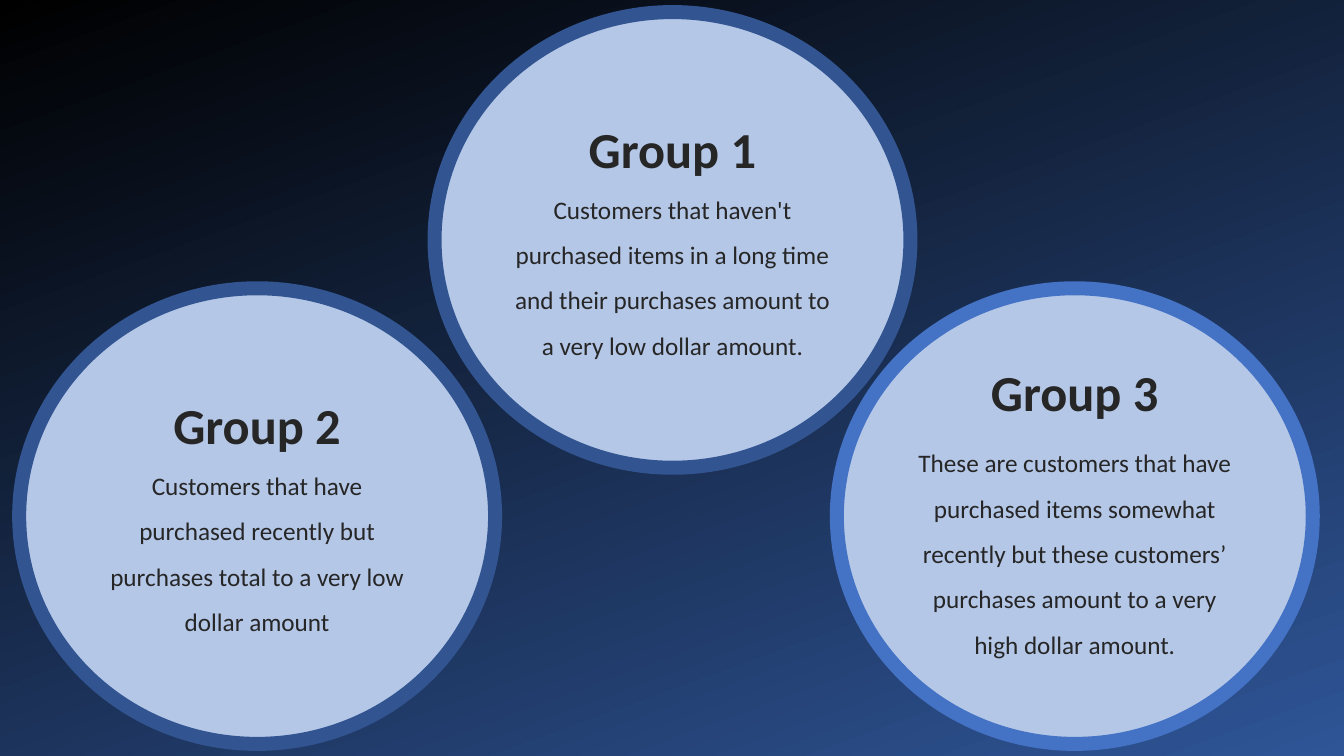
from pptx import Presentation
from pptx.dml.color import RGBColor
from pptx.enum.shapes import MSO_SHAPE
from pptx.enum.text import MSO_ANCHOR, PP_ALIGN
from pptx.util import Inches, Pt

RECTANGLE = MSO_SHAPE.RECTANGLE
OVAL = MSO_SHAPE.OVAL
MIDDLE = MSO_ANCHOR.MIDDLE
CENTER = PP_ALIGN.CENTER

BLANK_LAYOUT = 6
FONT = "Calibri"
INK = "262626"
PALE_BLUE = "B4C7E7"
DARK_RING = "325491"
BRIGHT_RING = "4472C4"
CIRCLE_SIZE = (4.72, 4.52)
LOWER_TOP = 2.86

GROUPS = [
    ("Group 1", "Customers that haven't purchased items in a long time and their "
     "purchases amount to a very low dollar amount.",
     4.31, 0.12, DARK_RING, 0, 0.36),
    ("Group 2", "Customers that have purchased recently but purchases total to a "
     "very low dollar amount",
     0.19, LOWER_TOP, DARK_RING, 0, 0.36),
    ("Group 3", "These are customers that have purchased items somewhat recently but "
     "these customers\u2019 purchases amount to a very high dollar amount.",
     8.3, LOWER_TOP, BRIGHT_RING, 8, 0.47),
]


def color(hex_value):
    """Turn a hex string into a colour."""
    return RGBColor.from_string(hex_value)


def add_backdrop(slide, width, height):
    """Cover the slide with a black to blue gradient."""
    backdrop = slide.shapes.add_shape(RECTANGLE, 0, 0, width, height)
    backdrop.shadow.inherit = False
    backdrop.line.fill.background()
    backdrop.fill.gradient()
    backdrop.fill.gradient_angle = 290
    stops = backdrop.fill.gradient_stops
    for stop, position, shade in zip(stops, (0, 1), ("000000", "2F5597")):
        stop.position = position
        stop.color.rgb = color(shade)


def add_line(paragraph, text, size, bold, space_after):
    """Write one centred paragraph with wide line spacing."""
    paragraph.alignment = CENTER
    paragraph.line_spacing = 1.5
    paragraph.space_after = Pt(space_after)
    run = paragraph.add_run()
    run.text = text
    run.font.name = FONT
    run.font.size = Pt(size)
    run.font.bold = bold
    run.font.color.rgb = color(INK)


def add_group(slide, heading, description, left, top, ring, space_after, bottom_inset):
    """Draw a ringed circle that describes one customer group."""
    width, height = CIRCLE_SIZE
    circle = slide.shapes.add_shape(
        OVAL, Inches(left), Inches(top), Inches(width), Inches(height))
    circle.shadow.inherit = False
    circle.fill.solid()
    circle.fill.fore_color.rgb = color(PALE_BLUE)
    circle.line.color.rgb = color(ring)
    circle.line.width = Pt(10)
    frame = circle.text_frame
    frame.word_wrap = True
    frame.vertical_anchor = MIDDLE
    frame.margin_bottom = Inches(bottom_inset)
    add_line(frame.paragraphs[0], heading, 36, True, space_after)
    add_line(frame.add_paragraph(), description, 18, False, space_after)


def main():
    """Build and save the customer groups slide."""
    deck = Presentation()
    deck.slide_width = Inches(13.33)
    deck.slide_height = Inches(7.5)
    slide = deck.slides.add_slide(deck.slide_layouts[BLANK_LAYOUT])
    add_backdrop(slide, deck.slide_width, deck.slide_height)
    for group in GROUPS:
        add_group(slide, *group)
    deck.save("out.pptx")


main()
